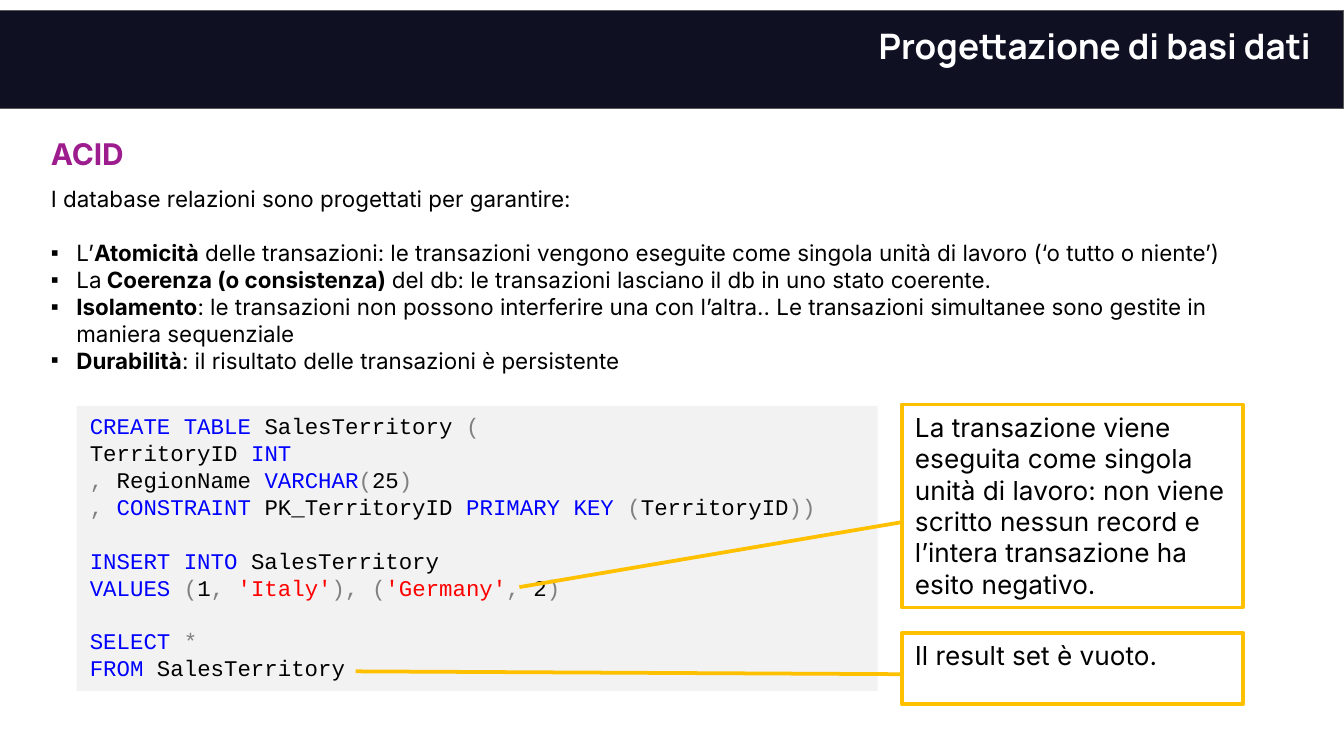
from lxml.etree import SubElement
from pptx import Presentation
from pptx.dml.color import RGBColor
from pptx.enum.shapes import MSO_SHAPE
from pptx.enum.text import MSO_ANCHOR, PP_ALIGN
from pptx.oxml.ns import qn
from pptx.util import Inches, Pt

THEME = {
    "color": {
        "band": "101023", "band_edge": "595959", "title": "FFFFFF", "heading": "9D1D8F",
        "text": "000000", "panel": "F2F2F2", "accent": "FFC000",
        "keyword": "0000FF", "symbol": "808080", "literal": "FF0000",
    },
    "font": {"title": "Manrope", "body": "Inter", "code": "Courier New"},
    "size": {"title": 18.8, "heading": 16, "body": 12, "code": 12, "callout": 14},
}

TITLE = "Progettazione di basi dati"
HEADING = "ACID"
INTRO = "I database relazioni sono progettati per garantire:"
PROPERTIES = [
    ("L’", "Atomicità", " delle transazioni: le transazioni vengono eseguite come singola "
     "unità di lavoro (‘o tutto o niente’)"),
    ("La", " Coerenza (o consistenza) ",
     "del db: le transazioni lasciano il db in uno stato coerente."),
    ("", "Isolamento", ": le transazioni non possono interferire una con l’altra.. "
     "Le transazioni simultanee sono gestite in maniera sequenziale"),
    ("", "Durabilità", ": il risultato delle transazioni è persistente"),
]
K, S, L, T = "keyword", "symbol", "literal", "text"
STATEMENTS = [
    [
        [("CREATE TABLE", K), (" SalesTerritory ", T), ("(", S)],
        [("TerritoryID ", T), ("INT", K)],
        [(",", S), (" RegionName ", T), ("VARCHAR", K), ("(", S), ("25", T), (")", S)],
        [(", ", S), ("CONSTRAINT", K), (" PK_TerritoryID ", T), ("PRIMARY KEY ", K),
         ("(", S), ("TerritoryID", T), ("))", S)],
    ],
    [
        [("INSERT INTO", K), (" SalesTerritory", T)],
        [("VALUES ", K), ("(", S), ("1", T), (", ", S), ("'Italy'", L), ("), (", S),
         ("'Germany'", L), (",", S), (" 2", T), (")", S)],
    ],
    [
        [("SELECT ", K), ("*", S)],
        [("FROM", K), (" SalesTerritory", T)],
    ],
]
CALLOUTS = [
    {"text": "La transazione viene eseguita come singola unità di lavoro: non viene scritto "
             "nessun record e l’intera transazione ha esito negativo.",
     "top": 3.01, "height": 1.51, "pointer": (0.58, 0, 0.9, -1.12)},
    {"text": "Il result set è vuoto.",
     "top": 4.71, "height": 0.53, "pointer": (0.58, 0, 0.54, -1.6)},
]
SLIDE_WIDTH = Inches(10)
SLIDE_HEIGHT = SLIDE_WIDTH * 9 // 16
TEXT_LEFT, TEXT_WIDTH = 0.28, 9.25
CALLOUT_LEFT, CALLOUT_WIDTH = 6.71, 2.54
LINE_STEP = Pt(14.4)


def color(role):
    return RGBColor.from_string(THEME["color"][role])


def style(paragraph, family, size, role="text", bold=None):
    font = paragraph.font
    font.name = THEME["font"][family]
    font.size = Pt(THEME["size"][size])
    font.color.rgb = color(role)
    font.bold = bold


def add_run(paragraph, text):
    run = paragraph.add_run()
    run.text = text
    return run


def next_paragraph(frame):
    return frame.add_paragraph() if frame.paragraphs[0].runs else frame.paragraphs[0]


def add_box(slide, left, top, width, height, shape=MSO_SHAPE.RECTANGLE,
            fill=None, line=None, line_width=0.75):
    box = slide.shapes.add_shape(shape, *map(Inches, (left, top, width, height)))
    box.shadow.inherit = False
    if fill:
        box.fill.solid()
        box.fill.fore_color.rgb = color(fill)
    else:
        box.fill.background()
    if line:
        box.line.color.rgb = color(line)
        box.line.width = Pt(line_width)
    else:
        box.line.fill.background()
    box.text_frame.word_wrap = True
    box.text_frame.vertical_anchor = MSO_ANCHOR.TOP
    return box


def add_text(slide, left, top, width, height):
    frame = slide.shapes.add_textbox(*map(Inches, (left, top, width, height))).text_frame
    frame.word_wrap = True
    return frame


def set_bullet(paragraph, mark):
    props = paragraph._p.get_or_add_pPr()
    props.set("marL", str(Inches(0.19)))
    props.set("indent", str(-Inches(0.19)))
    tint = SubElement(SubElement(props, qn("a:buClr")), qn("a:srgbClr"))
    tint.set("val", THEME["color"]["text"])
    SubElement(props, qn("a:buFont")).set("typeface", "Arial")
    SubElement(props, qn("a:buChar")).set("char", mark)


def add_title(slide):
    add_box(slide, -0.01, 0.08, 10.01, 0.73, fill="band", line="band_edge")
    title = slide.shapes.title
    title.left, title.top, title.width, title.height = map(Inches, (4.57, 0.08, 5.29, 0.35))
    slide.shapes._spTree.append(title._element)
    frame = title.text_frame
    frame.text = TITLE
    frame.margin_left = frame.margin_right = frame.margin_top = frame.margin_bottom = Inches(0.1)
    frame.vertical_anchor = MSO_ANCHOR.TOP
    frame.word_wrap = True
    frame.paragraphs[0].alignment = PP_ALIGN.RIGHT
    style(frame.paragraphs[0], "title", "title", "title", True)


def add_body(slide):
    heading = add_text(slide, TEXT_LEFT, 0.92, TEXT_WIDTH, 0.41)
    heading.vertical_anchor = MSO_ANCHOR.MIDDLE
    heading.text = HEADING
    heading.paragraphs[0].line_spacing = 1.15
    heading.paragraphs[0].alignment = PP_ALIGN.JUSTIFY
    style(heading.paragraphs[0], "body", "heading", "heading", True)

    body = add_text(slide, TEXT_LEFT, 1.33, TEXT_WIDTH, 1.51)
    body.text = INTRO
    style(body.paragraphs[0], "body", "body")
    for index, (lead, name, description) in enumerate(PROPERTIES):
        item = body.add_paragraph()
        if index == 0:
            item.space_before = LINE_STEP
        set_bullet(item, "▪")
        style(item, "body", "body")
        if lead:
            add_run(item, lead)
        add_run(item, name).font.bold = True
        add_run(item, description)


def add_code(slide):
    frame = add_box(slide, 0.57, 3.02, 5.96, 2.12, fill="panel").text_frame
    for statement_index, statement in enumerate(STATEMENTS):
        for line_index, tokens in enumerate(statement):
            row = next_paragraph(frame)
            row.alignment = PP_ALIGN.LEFT
            row.line_spacing = LINE_STEP
            if statement_index and line_index == 0:
                row.space_before = LINE_STEP
            style(row, "code", "code")
            for text, role in tokens:
                add_run(row, text).font.color.rgb = color(role)


def add_callouts(slide):
    for callout in CALLOUTS:
        box = add_box(slide, CALLOUT_LEFT, callout["top"], CALLOUT_WIDTH, callout["height"],
                      MSO_SHAPE.LINE_CALLOUT_1, line="accent", line_width=2)
        for index, value in enumerate(callout["pointer"]):
            box.adjustments[index] = value
        box.text_frame.text = callout["text"]
        paragraph = box.text_frame.paragraphs[0]
        paragraph.alignment = PP_ALIGN.LEFT
        style(paragraph, "body", "callout")


def main():
    deck = Presentation()
    deck.slide_width, deck.slide_height = SLIDE_WIDTH, SLIDE_HEIGHT
    slide = deck.slides.add_slide(deck.slide_layouts[5])
    add_title(slide)
    add_body(slide)
    add_code(slide)
    add_callouts(slide)
    deck.save("out.pptx")


if __name__ == "__main__":
    main()
